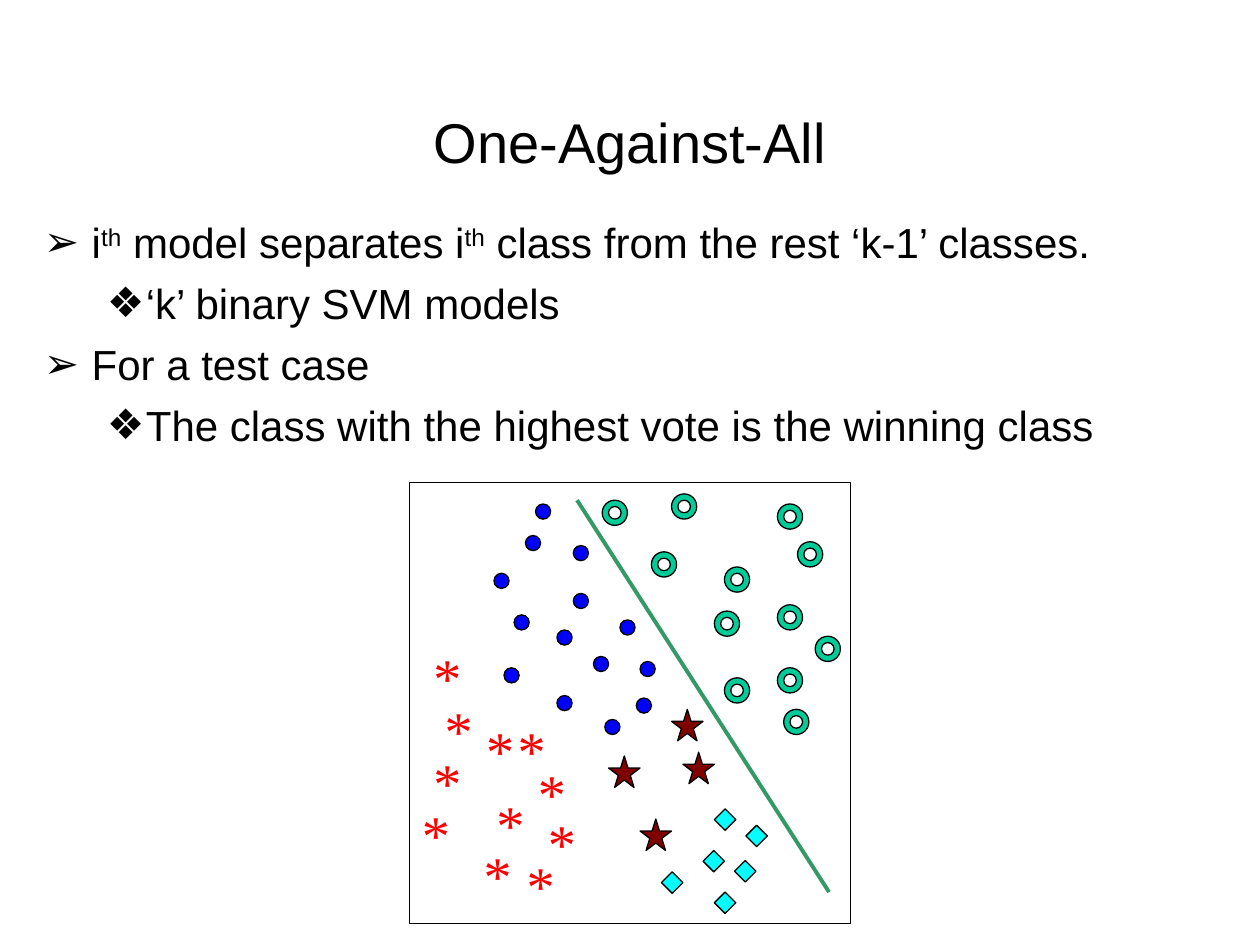
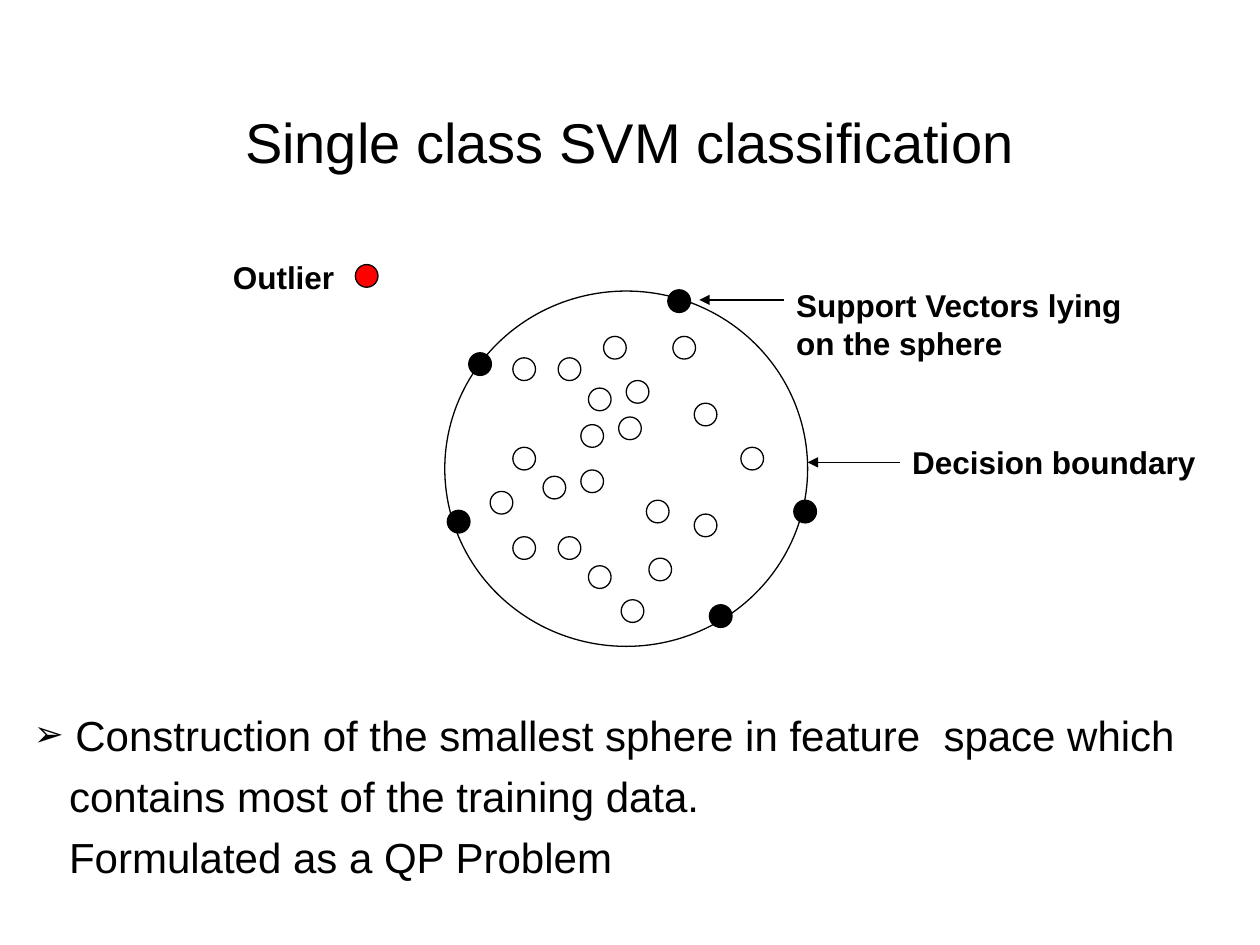
from lxml import etree
from pptx import Presentation
from pptx import util as u
from pptx.dml.color import RGBColor
from pptx.enum import shapes, text
from pptx.oxml import ns

BLACK = RGBColor(0x00, 0x00, 0x00)
WHITE = RGBColor(0xFF, 0xFF, 0xFF)
RED = RGBColor(0xFF, 0x00, 0x00)
BLUE = RGBColor(0x00, 0x00, 0xFF)
GREEN = RGBColor(0x00, 0xCC, 0x99)
MAROON = RGBColor(0x80, 0x00, 0x00)
CYAN = RGBColor(0x00, 0xFF, 0xFF)
BOUNDARY_GREEN = RGBColor(0x33, 0x99, 0x66)

SANS, SERIF = "Arial", "Times New Roman"
ARROW_BULLET, DIAMOND_BULLET = "➢", "❖"
SHAPE = shapes.MSO_SHAPE

# Left and top of every sample, by class
DOTS = [(4.25, 4), (4.17, 4.25), (4.55, 4.33), (3.92, 4.55), (4.55, 4.71),
        (4.08, 4.88), (4.92, 4.92), (4.42, 5), (4.71, 5.21), (5.08, 5.25),
        (4, 5.3), (4.42, 5.52), (5.05, 5.54), (4.8, 5.71)]
RINGS = [(5.33, 3.92), (4.78, 3.97), (6.17, 4), (6.33, 4.3), (5.17, 4.38),
         (5.75, 4.5), (6.17, 4.8), (5.67, 4.85), (6.47, 5.05), (6.17, 5.3),
         (5.75, 5.38), (6.22, 5.63)]
STARS = [(5.33, 5.63), (5.42, 5.97), (4.83, 6), (5.08, 6.5)]
DIAMONDS = [(5.67, 6.42), (5.92, 6.55), (5.58, 6.75), (5.83, 6.83),
            (5.25, 6.92), (5.67, 7.08)]
ASTERISKS = [(3.34, 5.05), (3.43, 5.47), (3.76, 5.63), (4.01, 5.63),
             (3.34, 5.88), (4.17, 5.97), (3.84, 6.22), (3.25, 6.3),
             (4.25, 6.37), (3.74, 6.62), (4.08, 6.7)]

INNER_POINTS = [(4.79, 2.67), (5.34, 2.67), (4.07, 2.84), (4.43, 2.84),
                (4.97, 3.02), (4.67, 3.08), (5.51, 3.2), (4.91, 3.31),
                (4.61, 3.37), (4.07, 3.55), (5.88, 3.55), (4.61, 3.73),
                (4.31, 3.78), (3.89, 3.9), (5.13, 3.97), (5.51, 4.08),
                (4.07, 4.26), (4.43, 4.26), (5.15, 4.43), (4.67, 4.49),
                (4.93, 4.76)]
SUPPORT_VECTORS = [(5.3, 2.3), (3.72, 2.8), (6.3, 3.97), (3.55, 4.05),
                   (5.63, 4.8)]


def add_box(page, left, top, width, height):
    box = page.shapes.add_textbox(*map(u.Inches, (left, top, width, height)))
    box.text_frame.word_wrap = True
    return box.text_frame


def add_span(para, words, size, font=SANS, color=BLACK, bold=False):
    span = para.add_run()
    span.text = words
    span.font.size = u.Pt(size)
    span.font.name = font
    span.font.bold = bold
    span.font.color.rgb = color
    return span


def add_title(page, words):
    frame = add_box(page, 0.75, 0.58, 8.5, 1.08)
    frame.vertical_anchor = text.MSO_ANCHOR.MIDDLE
    para = frame.paragraphs[0]
    para.alignment = text.PP_ALIGN.CENTER
    add_span(para, words, 32)


def set_indent(para, margin, hanging=0, bullet=None, percent=100):
    properties = para._p.get_or_add_pPr()
    properties.set("marL", str(u.Inches(margin)))
    properties.set("indent", str(-u.Inches(hanging)))
    if bullet:
        for tag, name, value in (("a:buSzPct", "val", str(percent * 1000)),
                                 ("a:buFont", "typeface", SANS),
                                 ("a:buChar", "char", bullet)):
            etree.SubElement(properties, ns.qn(tag)).set(name, value)


def add_body(page, place, lines):
    """Each line is (indent arguments, words); ^ switches superscript."""
    frame = add_box(page, *place)
    for number, (indent, words) in enumerate(lines):
        para = frame.add_paragraph() if number else frame.paragraphs[0]
        set_indent(para, *indent)
        if number:
            para.space_before = u.Pt(6)
        for part, piece in enumerate(words.split("^")):
            span = add_span(para, piece, 24)
            if part % 2:
                span.font._element.set("baseline", "30000")


def add_label(page, place, words):
    frame = add_box(page, *place)
    add_span(frame.paragraphs[0], words, 18, bold=True)


def add_figure(page, kind, left, top, width, height, fill=None):
    figure = page.shapes.add_shape(
        kind, *map(u.Inches, (left, top, width, height)))
    figure.shadow.inherit = False
    if fill is None:
        figure.fill.background()
    else:
        figure.fill.solid()
        figure.fill.fore_color.rgb = fill
    figure.line.color.rgb = BLACK
    figure.line.width = u.Pt(0.75)


def add_samples(page, kind, size, fill, places):
    for left, top in places:
        add_figure(page, kind, left, top, size, size, fill)


def add_asterisks(page, places):
    for left, top in places:
        frame = add_box(page, left, top, 0.42, 0.64)
        frame.margin_left = frame.margin_right = 0
        para = frame.paragraphs[0]
        para.alignment = text.PP_ALIGN.CENTER
        add_span(para, "*", 32, SERIF, RED)


def add_line(page, start, end, color, width, arrow=False):
    line = page.shapes.add_connector(
        shapes.MSO_CONNECTOR.STRAIGHT, *map(u.Inches, start + end))
    line.line.color.rgb = color
    line.line.width = u.Pt(width)
    if arrow:
        head = etree.SubElement(line.line._get_or_add_ln(), ns.qn("a:tailEnd"))
        head.set("type", "triangle")
    etree.SubElement(line._element.spPr, ns.qn("a:effectLst"))


def build_one_against_all(page):
    add_title(page, "One-Against-All")
    main_point = (0.38, 0.38, ARROW_BULLET)
    sub_point = (0.81, 0.31, DIAMOND_BULLET)
    add_body(page, (0.25, 1.67, 9.5, 2.08), [
        (main_point, "i^th^ model separates i^th^ class from the rest "
                     "‘k-1’ classes."),
        (sub_point, "‘k’ binary SVM models"),
        (main_point, "For a test case"),
        (sub_point, "The class with the highest vote is the winning class"),
    ])

    # Five classes and the line that splits one from the rest
    add_figure(page, SHAPE.RECTANGLE, 3.25, 3.83, 3.5, 3.5)
    add_asterisks(page, ASTERISKS)
    add_line(page, (4.58, 3.97), (6.58, 7.08), BOUNDARY_GREEN, 2.25)
    add_samples(page, SHAPE.OVAL, 0.12, BLUE, DOTS)
    add_samples(page, SHAPE.DONUT, 0.2, GREEN, RINGS)
    add_samples(page, SHAPE.STAR_5_POINT, 0.25, MAROON, STARS)
    add_samples(page, SHAPE.DIAMOND, 0.17, CYAN, DIAMONDS)


def build_single_class(page):
    add_title(page, "Single class SVM classification")

    # Sphere with its points
    add_figure(page, SHAPE.OVAL, 3.53, 2.31, 2.88, 2.82, WHITE)
    add_samples(page, SHAPE.OVAL, 0.18, WHITE, INNER_POINTS)
    add_samples(page, SHAPE.OVAL, 0.18, BLACK, SUPPORT_VECTORS)
    add_samples(page, SHAPE.OVAL, 0.18, RED, [(2.82, 2.1)])

    # Labels and their arrows
    add_label(page, (1.75, 2, 1.07, 0.4), "Outlier")
    add_label(page, (6.22, 2.22, 2.92, 0.7),
              "Support Vectors lying on the sphere")
    add_label(page, (7.14, 3.47, 2.55, 0.4), "Decision boundary")
    add_line(page, (6.22, 2.38), (5.55, 2.38), BLACK, 0.75, arrow=True)
    add_line(page, (7.14, 3.67), (6.41, 3.67), BLACK, 0.75, arrow=True)

    add_body(page, (0.17, 5.58, 9.67, 1.58), [
        ((0.33, 0.33, ARROW_BULLET, 85),
         "Construction of the smallest sphere in feature  space which"),
        ((0.28,), "contains most of the training data."),
        ((0.28,), "Formulated as a QP Problem"),
    ])


def main():
    deck = Presentation()
    deck.slide_width, deck.slide_height = u.Inches(10), u.Inches(7.5)
    for build in (build_one_against_all, build_single_class):
        build(deck.slides.add_slide(deck.slide_layouts[6]))
    deck.save("out.pptx")


if __name__ == "__main__":
    main()
